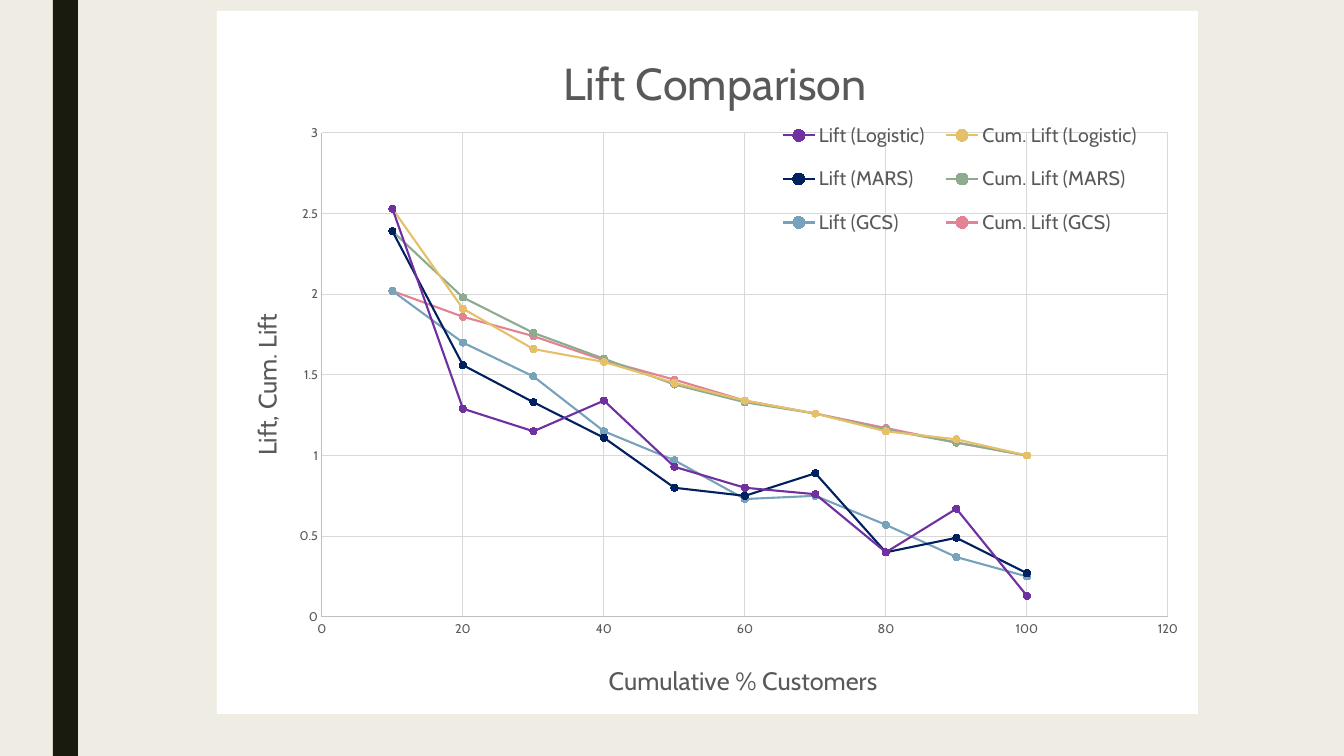
from lxml.etree import SubElement
from pptx import Presentation
from pptx.chart.data import XyChartData
from pptx.dml.color import RGBColor
from pptx.enum.chart import XL_CHART_TYPE, XL_LEGEND_POSITION, XL_MARKER_STYLE, XL_TICK_MARK
from pptx.enum.shapes import MSO_SHAPE
from pptx.oxml import parse_xml
from pptx.oxml.ns import qn
from pptx.util import Emu, Pt

FONT = "Cabin"
COLORS = {
    "background": "EFEDE3", "stripe": "191B0E", "panel": "FFFFFF",
    "text": "595959", "axis": "BFBFBF", "grid": "D9D9D9",
    "purple": "7030A0", "gold": "E6C069", "navy": "002060",
    "green": "8DAB8E", "blue": "77A2BB", "pink": "E28394",
}
CUSTOMERS = range(10, 101, 10)
SERIES = [
    ("Lift (Logistic)", "purple", [2.53, 1.29, 1.15, 1.34, 0.93, 0.8, 0.76, 0.4, 0.67, 0.13]),
    ("Cum. Lift (Logistic)", "gold", [2.53, 1.91, 1.66, 1.58, 1.45, 1.34, 1.26, 1.15, 1.1, 1]),
    ("Lift (MARS)", "navy", [2.39, 1.56, 1.33, 1.11, 0.8, 0.75, 0.89, 0.4, 0.49, 0.27]),
    ("Cum. Lift (MARS)", "green", [2.39, 1.98, 1.76, 1.6, 1.44, 1.33, 1.26, 1.16, 1.08, 1]),
    ("Lift (GCS)", "blue", [2.02, 1.7, 1.49, 1.15, 0.97, 0.73, 0.75, 0.57, 0.37, 0.25]),
    ("Cum. Lift (GCS)", "pink", [2.02, 1.86, 1.74, 1.59, 1.47, 1.34, 1.26, 1.17, 1.08, 1]),
]
PAGE_SIZE = (1344, 756)
STRIPE_BOX = (53, 0, 25, 756)
CHART_BOX = (217, 11, 981, 703)
PLOT_BOX = (322, 133, 846, 484)
LEGEND_BOX = (768, 104, 384, 150)
TITLE_SPOT = (555, 44)
AXES = [
    ("category_axis", "Cumulative % Customers", 120, 20, (604, 659)),
    ("value_axis", "Lift, Cum. Lift", 3, 0.5, (245, 309)),
]


def px(value):
    return Emu(round(value * 914400 / 100.8))


def rgb(name):
    return RGBColor.from_string(COLORS[name])


def style_font(font, size, color="text"):
    font.name = FONT
    font.size = Pt(size)
    font.bold = False
    font.color.rgb = rgb(color)


def style_line(line, color, width):
    line.color.rgb = rgb(color)
    line.width = Pt(width)


def write_text(frame, text, size, color="text"):
    para = frame.paragraphs[0]
    span = para.add_run()
    span.text = text
    style_font(para.font, size, color)
    style_font(span.font, size, color)


def place(element, index, spot, inner=False):
    for old in element.findall(qn("c:layout")):
        element.remove(old)
    layout = SubElement(element, qn("c:layout"))
    element.insert(index, layout)
    manual = SubElement(layout, qn("c:manualLayout"))
    left, top, width, height = CHART_BOX
    fractions = [(spot[0] - left) / width, (spot[1] - top) / height]
    fractions += [length / whole for length, whole in zip(spot[2:], (width, height))]
    settings = [("layoutTarget", "inner")] if inner else []
    settings += [("xMode", "edge"), ("yMode", "edge")]
    settings += [(name, f"{part:.4f}") for name, part in zip("xywh", fractions)]
    for name, value in settings:
        SubElement(manual, qn(f"c:{name}")).set("val", value)


def add_lift_chart(page):
    data = XyChartData()
    for name, _, lifts in SERIES:
        points = data.add_series(name)
        for customers, lift in zip(CUSTOMERS, lifts):
            points.add_data_point(customers, lift)
    frame = page.shapes.add_chart(
        XL_CHART_TYPE.XY_SCATTER_LINES, *map(px, CHART_BOX), data)
    chart = frame.chart
    style_font(chart.font, 10)
    space = chart.element if hasattr(chart, "element") else chart._chartSpace
    body = space.find(qn("c:chart"))
    body.addnext(parse_xml(
        '<c:spPr xmlns:c="http://schemas.openxmlformats.org/drawingml/2006/chart" '
        'xmlns:a="http://schemas.openxmlformats.org/drawingml/2006/main">'
        f'<a:solidFill><a:srgbClr val="{COLORS["panel"]}"/></a:solidFill>'
        '<a:ln><a:noFill/></a:ln></c:spPr>'))
    place(body.find(qn("c:plotArea")), 0, PLOT_BOX, inner=True)

    chart.has_title = True
    write_text(chart.chart_title.text_frame, "Lift Comparison", size=32)
    place(body.find(qn("c:title")), 1, TITLE_SPOT)

    for kind, title, maximum, step, spot in AXES:
        axis = getattr(chart, kind)
        axis.minimum_scale, axis.maximum_scale, axis.major_unit = 0, maximum, step
        axis.major_tick_mark = axis.minor_tick_mark = XL_TICK_MARK.NONE
        axis.has_major_gridlines = True
        style_line(axis.major_gridlines.format.line, "grid", 0.75)
        style_line(axis.format.line, "axis", 0.75)
        style_font(axis.tick_labels.font, 9)
        axis.tick_labels.number_format = "General"
        axis.tick_labels.number_format_is_linked = False
        axis.has_title = True
        write_text(axis.axis_title.text_frame, title, size=18)
        place(axis.axis_title._element, 1, spot)
        if kind == "value_axis":
            axis.axis_title.text_frame._txBody.bodyPr.set("rot", "-5400000")

    chart.has_legend = True
    legend = chart.legend
    legend.position = XL_LEGEND_POSITION.BOTTOM
    legend.include_in_layout = True
    style_font(legend.font, 14)
    place(legend._element, 1, LEGEND_BOX)

    plot = chart.plots[0]
    plot.vary_by_categories = False
    for series, (_, color, _) in zip(plot.series, SERIES):
        series.smooth = False
        style_line(series.format.line, color, 1.5)
        marker = series.marker
        marker.style = XL_MARKER_STYLE.CIRCLE
        marker.size = 5
        marker.format.fill.solid()
        marker.format.fill.fore_color.rgb = rgb(color)
        style_line(marker.format.line, color, 0.75)


def main():
    deck = Presentation()
    deck.slide_width, deck.slide_height = map(px, PAGE_SIZE)
    page = deck.slides.add_slide(deck.slide_layouts[6])
    page.background.fill.solid()
    page.background.fill.fore_color.rgb = rgb("background")
    stripe = page.shapes.add_shape(MSO_SHAPE.RECTANGLE, *map(px, STRIPE_BOX))
    stripe.shadow.inherit = False
    stripe.fill.solid()
    stripe.fill.fore_color.rgb = rgb("stripe")
    stripe.line.fill.background()
    add_lift_chart(page)
    deck.save("out.pptx")


if __name__ == "__main__":
    main()
